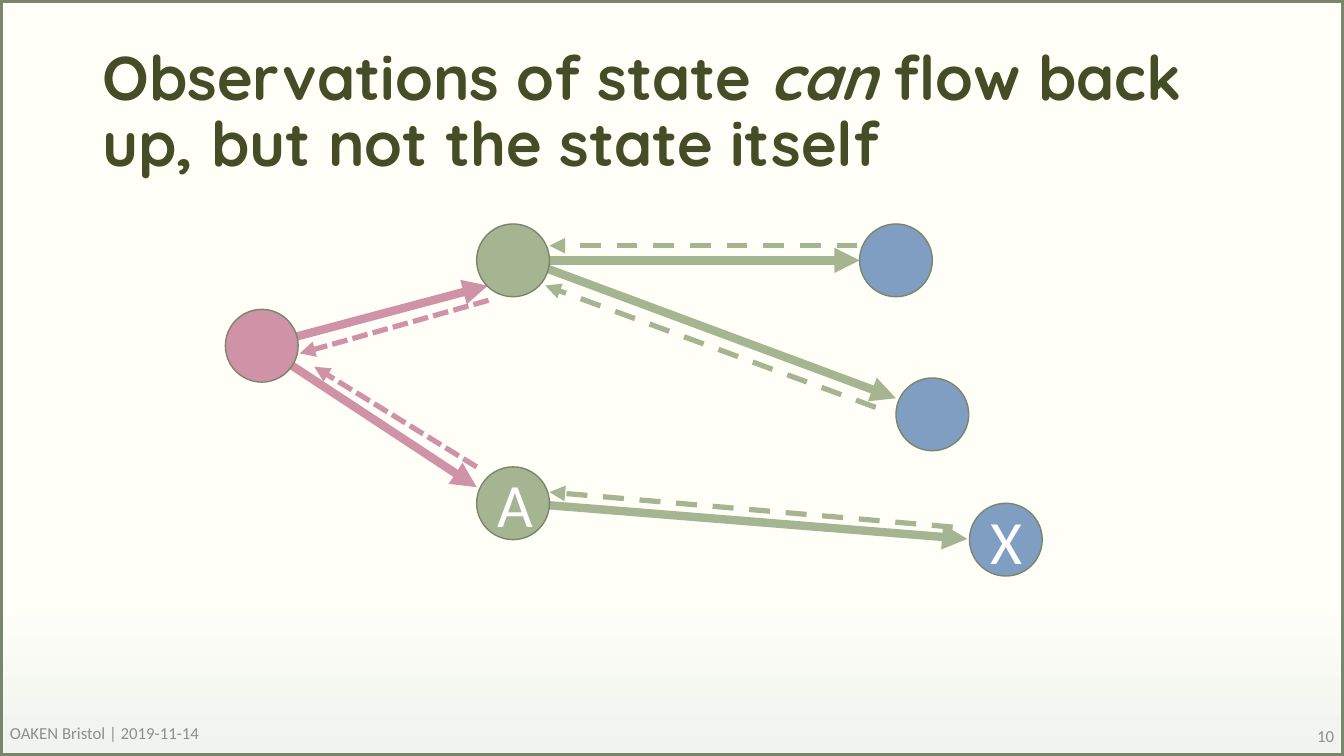
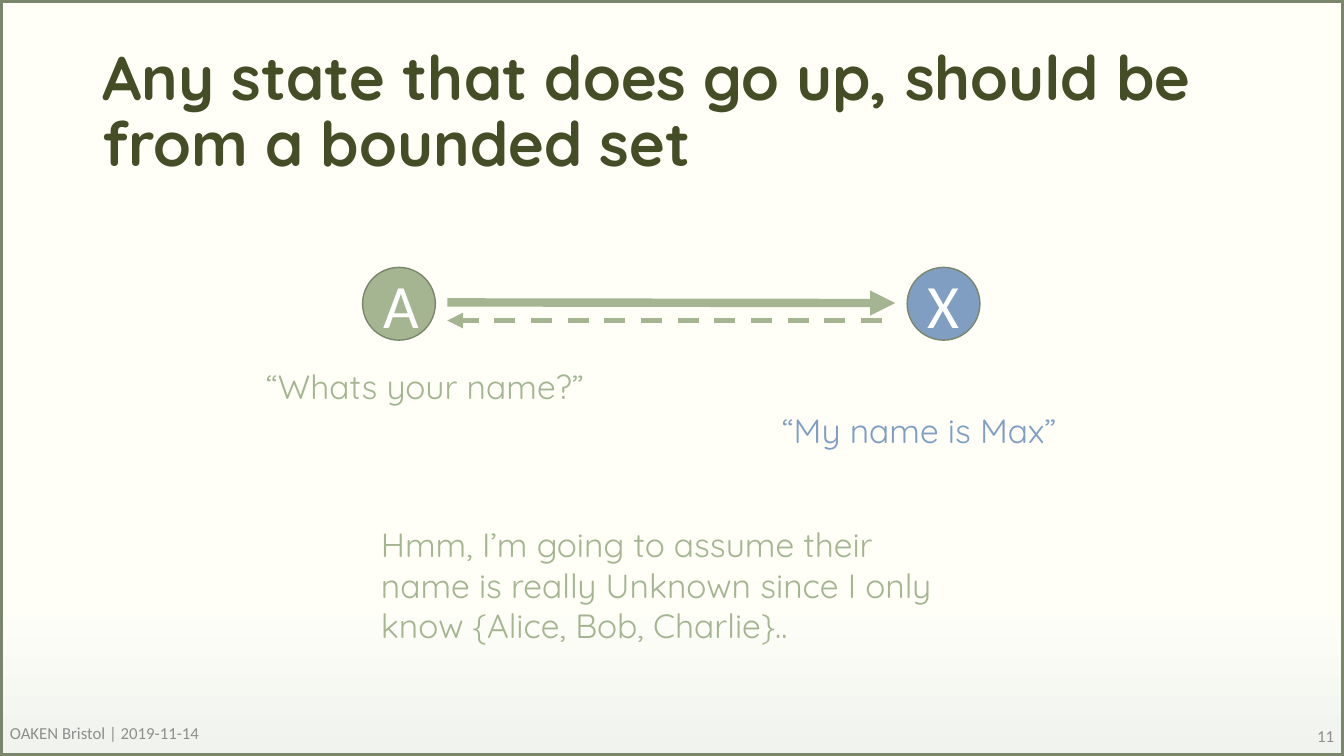
from lxml.etree import SubElement
from pptx import Presentation
from pptx.dml.color import RGBColor
from pptx.enum.dml import MSO_LINE
from pptx.enum.shapes import MSO_CONNECTOR, MSO_SHAPE
from pptx.enum.text import MSO_ANCHOR, MSO_AUTO_SIZE, PP_ALIGN
from pptx.oxml.ns import qn
from pptx.util import Pt

CREAM = RGBColor(0xFF, 0xFF, 0xF8)
MIST = RGBColor(0xF0, 0xF3, 0xEE)
OLIVE = RGBColor(0x44, 0x4D, 0x26)
MOSS = RGBColor(0x7A, 0x86, 0x6C)
GRAY = RGBColor(0x8E, 0x8E, 0x8E)
WHITE = RGBColor(0xFF, 0xFF, 0xFF)
PINK = RGBColor(0xD0, 0x92, 0xA7)
GREEN = RGBColor(0xA5, 0xB5, 0x92)
BLUE = RGBColor(0x80, 0x9E, 0xC2)

TITLE = {"name": "Quicksand", "size": Pt(44), "bold": True}
SPEECH = {"name": "Quicksand", "size": Pt(24)}
LETTER = {"name": "Calibri", "size": Pt(44)}
FOOTER = {"name": "Calibri", "size": Pt(12)}

SOLID, DASH, SHORT_DASH = MSO_LINE.SOLID, MSO_LINE.DASH, MSO_LINE.SQUARE_DOT
WIDTHS = {SOLID: Pt(6), DASH: Pt(3.75), SHORT_DASH: Pt(3.75)}
NODE = 52

# title: (text, italic); arrows: (start, end, colour, dash);
# nodes: (left, top, colour, letter); speech: (box, colour, text)
SLIDES = [
    {
        "number": "10",
        "title": [("Observations of state ", False), ("can", True),
                  (" flow back up, but not the state itself", False)],
        "arrows": [
            ((187, 247), (340.5, 348), PINK, SOLID),
            ((187, 247), (348.5, 204), PINK, SOLID),
            ((366.5, 186), (614, 186), GREEN, SOLID),
            ((375, 186), (640, 284.5), GREEN, SOLID),
            ((375, 359.5), (691, 385), GREEN, SOLID),
            ((349, 214.5), (214, 252.5), PINK, SHORT_DASH),
            ((340.5, 333.5), (224.5, 262), PINK, SHORT_DASH),
            ((680.5, 376.5), (392.5, 351.5), GREEN, DASH),
            ((625.5, 291), (389.5, 204), GREEN, DASH),
            ((612.5, 175.5), (392.5, 175.5), GREEN, DASH),
        ],
        "nodes": [
            (161, 221, PINK, ""),
            (340.5, 160, GREEN, ""),
            (340.5, 333.5, GREEN, "A"),
            (614, 160, BLUE, ""),
            (640, 270, BLUE, ""),
            (692.5, 359.5, BLUE, "X"),
        ],
        "speech": [],
    },
    {
        "number": "11",
        "title": [("Any state that does go up, should be from a bounded set", False)],
        "arrows": [
            ((319.5, 216), (639.5, 216.5), GREEN, SOLID),
            ((630, 229), (319.5, 229), GREEN, DASH),
        ],
        "nodes": [(259, 191, GREEN, "A"), (648, 191, BLUE, "X")],
        "speech": [
            ((183, 258, 245.5, 36), GREEN, "“Whats your name?”"),
            ((551.5, 289, 245.5, 36), BLUE, "“My name is Max”"),
            ((265, 371, 429, 94), GREEN,
             "Hmm, I’m going to assume their name is really Unknown "
             "since I only know {Alice, Bob, Charlie}.."),
        ],
    },
]


def add_span(para, text, color, look):
    span = para.add_run()
    span.text = text
    span.font.color.rgb = color
    for name, value in look.items():
        setattr(span.font, name, value)
    return span


def add_text_box(page, at, text, color, look, anchor=MSO_ANCHOR.TOP):
    box = page.shapes.add_textbox(*map(Pt, at))
    box.text_frame.word_wrap = True
    box.text_frame.vertical_anchor = anchor
    add_span(box.text_frame.paragraphs[0], text, color, look)
    return box.text_frame


deck = Presentation()
deck.slide_width, deck.slide_height = Pt(960), Pt(540)

backdrop = deck.slide_master.background.fill
backdrop.gradient()
backdrop.gradient_angle = 270
for stop, position, color in zip(backdrop.gradient_stops, (0.79, 1), (CREAM, MIST)):
    stop.position = position
    stop.color.rgb = color

for content in SLIDES:
    page = deck.slides.add_slide(deck.slide_layouts[5])

    border = page.shapes.add_shape(MSO_SHAPE.RECTANGLE, 0, Pt(0.5), Pt(960), Pt(539.5))
    border.shadow.inherit = False
    border.fill.background()
    border.line.color.rgb = MOSS
    border.line.width = Pt(4)

    title = page.shapes.title
    title.left, title.top, title.width, title.height = map(Pt, (66, 29, 828, 104))
    title.text_frame.auto_size = MSO_AUTO_SIZE.NONE
    title.text_frame.vertical_anchor = MSO_ANCHOR.MIDDLE
    para = title.text_frame.paragraphs[0]
    para.alignment = PP_ALIGN.LEFT
    para.line_spacing = 0.9
    for text, italic in content["title"]:
        add_span(para, text, OLIVE, TITLE).font.italic = italic

    add_text_box(page, (0, 509, 324, 29), "OAKEN Bristol | 2019-11-14",
                 GRAY, FOOTER, MSO_ANCHOR.MIDDLE)
    number = add_text_box(page, (744, 511, 216, 29), content["number"],
                          GRAY, FOOTER, MSO_ANCHOR.MIDDLE)
    number.paragraphs[0].alignment = PP_ALIGN.RIGHT

    for start, end, color, dash in content["arrows"]:
        arrow = page.shapes.add_connector(MSO_CONNECTOR.STRAIGHT, *map(Pt, start + end))
        arrow.line.color.rgb = color
        arrow.line.width = WIDTHS[dash]
        arrow.line.dash_style = dash
        properties = arrow.element.spPr
        SubElement(properties.find(qn("a:ln")), qn("a:tailEnd"), type="triangle")
        SubElement(properties, qn("a:effectLst"))

    for left, top, color, letter in content["nodes"]:
        node = page.shapes.add_shape(MSO_SHAPE.OVAL, *map(Pt, (left, top, NODE, NODE)))
        node.shadow.inherit = False
        node.fill.solid()
        node.fill.fore_color.rgb = color
        node.line.color.rgb = MOSS
        node.line.width = Pt(1)
        if letter:
            node.text_frame.vertical_anchor = MSO_ANCHOR.MIDDLE
            para = node.text_frame.paragraphs[0]
            para.alignment = PP_ALIGN.CENTER
            add_span(para, letter, WHITE, LETTER)

    for at, color, text in content["speech"]:
        add_text_box(page, at, text, color, SPEECH)

deck.save("out.pptx")
